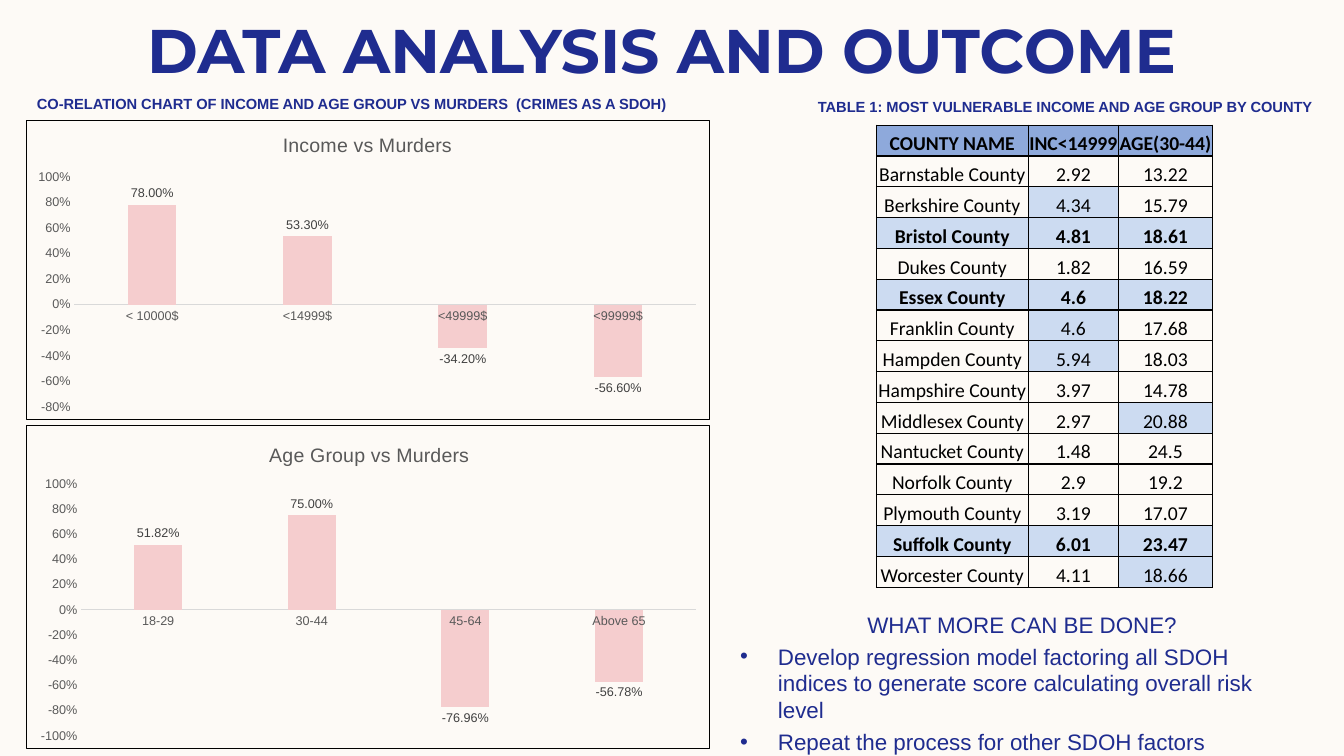
from lxml import etree
from pptx import Presentation
from pptx.chart import data as chart_data
from pptx.dml import color
from pptx.enum import chart as chart_enum, text as text_enum
from pptx.oxml import parse_xml
from pptx.oxml import ns
from pptx.util import Pt

THEME = {
    "background": "FDFAF6", "navy": "1F2C8F", "black": "000000",
    "grey": "595959", "label": "404040", "axis": "D9D9D9", "bar": "F5CDCE",
    "header": "8EA9DB", "highlight": "CCDBF1",
    "title_size": 44, "caption_size": 10.5, "body_size": 16,
    "table_size": 14, "chart_title_size": 14, "chart_size": 9,
    "heading_font": "Montserrat", "body_font": "Arial", "table_font": "Calibri",
}


def write_text(paragraph, text, size, colour=THEME["navy"], font=THEME["body_font"],
               bold=False, align=text_enum.PP_ALIGN.CENTER):
    paragraph.alignment = align
    run = paragraph.add_run()
    run.text = text
    run.font.size = Pt(size)
    run.font.name = font
    run.font.bold = bold
    run.font.color.rgb = color.RGBColor.from_string(colour)


def set_layout(element, index, **values):
    for old_layout in element.findall(ns.qn("c:layout")):
        element.remove(old_layout)
    layout = etree.Element(ns.qn("c:layout"))
    manual = etree.SubElement(layout, ns.qn("c:manualLayout"))
    for name, value in values.items():
        etree.SubElement(manual, ns.qn(f"c:{name}")).set("val", str(value))
    element.insert(index, layout)


presentation = Presentation()
presentation.slide_width, presentation.slide_height = Pt(960), Pt(540)
slide = presentation.slides.add_slide(presentation.slide_layouts[6])
slide.background.fill.solid()
slide.background.fill.fore_color.rgb = color.RGBColor.from_string(THEME["background"])

headings = [
    ("DATA ANALYSIS AND OUTCOME", (52.8, 5, 840, 60.5),
     {"size": THEME["title_size"], "font": THEME["heading_font"]}),
    ("CO-RELATION CHART OF INCOME AND AGE GROUP VS MURDERS  (CRIMES AS A SDOH)",
     (-8.8, 63.5, 520.5, 21), {"size": THEME["caption_size"]}),
    ("TABLE 1: MOST VULNERABLE INCOME AND AGE GROUP BY COUNTY",
     (573.5, 66, 375, 21), {"size": THEME["caption_size"]}),
]
for heading, place, style in headings:
    frame = slide.shapes.add_textbox(*map(Pt, place)).text_frame
    frame.word_wrap = True
    frame.vertical_anchor = text_enum.MSO_ANCHOR.MIDDLE
    write_text(frame.paragraphs[0], heading, bold=True, **style)

charts = [
    ("Income vs Murders", 85.4, 214.3, -0.8,
     {"< 10000$": 0.78, "<14999$": 0.533, "<49999$": -0.342, "<99999$": -0.566},
     {"x": 0.37, "y": 0.03}, {"x": 0.07, "y": 0.19, "w": 0.91, "h": 0.77}),
    ("Age Group vs Murders", 303.8, 231.6, -1,
     {"18-29": 0.5182, "30-44": 0.75, "45-64": -0.7696, "Above 65": -0.5678},
     {"x": 0.35, "y": 0.04}, {"x": 0.08, "y": 0.18, "w": 0.9, "h": 0.78}),
]
for title, top, height, minimum, values, title_place, plot_place in charts:
    murders = chart_data.CategoryChartData(number_format="0.00%")
    murders.categories = list(values)
    murders.add_series("Series 1", list(values.values()))
    chart = slide.shapes.add_chart(
        chart_enum.XL_CHART_TYPE.COLUMN_CLUSTERED,
        Pt(18.7), Pt(top), Pt(488.5), Pt(height), murders).chart
    chart.has_legend = False
    chart.font.name = THEME["body_font"]
    chart.font.size = Pt(10)
    write_text(chart.chart_title.text_frame.paragraphs[0], title,
               THEME["chart_title_size"], THEME["grey"])
    chart.chart_title.include_in_layout = False

    chart_element = chart._chartSpace.find(ns.qn("c:chart"))
    chart_element.addnext(parse_xml(
        f'<c:spPr {ns.nsdecls("c", "a")}><a:noFill/><a:ln w="9525"><a:solidFill>'
        f'<a:srgbClr val="{THEME["black"]}"/></a:solidFill></a:ln></c:spPr>'))
    set_layout(chart_element.find(ns.qn("c:title")), 1,
               xMode="edge", yMode="edge", **title_place)
    set_layout(chart_element.find(ns.qn("c:plotArea")), 0, layoutTarget="inner",
               xMode="edge", yMode="edge", **plot_place)

    for axis in (chart.category_axis, chart.value_axis):
        axis.has_major_gridlines = False
        axis.major_tick_mark = chart_enum.XL_TICK_MARK.NONE
        axis.minor_tick_mark = chart_enum.XL_TICK_MARK.NONE
        axis.tick_labels.font.name = THEME["body_font"]
        axis.tick_labels.font.size = Pt(THEME["chart_size"])
        axis.tick_labels.font.color.rgb = color.RGBColor.from_string(THEME["grey"])
    chart.category_axis.format.line.width = Pt(0.75)
    chart.category_axis.format.line.color.rgb = color.RGBColor.from_string(THEME["axis"])
    chart.value_axis.format.line.fill.background()
    chart.value_axis.minimum_scale = minimum
    chart.value_axis.maximum_scale = 1
    chart.value_axis.major_unit = 0.2
    chart.value_axis.tick_labels.number_format = "0%"
    chart.value_axis.tick_labels.number_format_is_linked = False

    plot = chart.plots[0]
    plot.gap_width, plot.overlap, plot.vary_by_categories = 219, -27, False
    series = plot.series[0]
    series.invert_if_negative = False
    series.format.fill.solid()
    series.format.fill.fore_color.rgb = color.RGBColor.from_string(THEME["bar"])
    labels = series.data_labels
    labels.show_value = True
    labels.position = chart_enum.XL_LABEL_POSITION.OUTSIDE_END
    labels.number_format, labels.number_format_is_linked = "0.00%", False
    labels.font.name = THEME["body_font"]
    labels.font.size = Pt(THEME["chart_size"])
    labels.font.color.rgb = color.RGBColor.from_string(THEME["label"])

counties = [
    ("COUNTY NAME", "INC<14999", "AGE(30-44)", {0, 1, 2}),
    ("Barnstable County", "2.92", "13.22", set()),
    ("Berkshire County", "4.34", "15.79", {1}),
    ("Bristol County", "4.81", "18.61", {0, 1, 2}),
    ("Dukes County", "1.82", "16.59", set()),
    ("Essex County", "4.6", "18.22", {0, 1, 2}),
    ("Franklin County", "4.6", "17.68", {1}),
    ("Hampden County", "5.94", "18.03", {1}),
    ("Hampshire County", "3.97", "14.78", set()),
    ("Middlesex County", "2.97", "20.88", {2}),
    ("Nantucket County", "1.48", "24.5", set()),
    ("Norfolk County", "2.9", "19.2", set()),
    ("Plymouth County", "3.19", "17.07", set()),
    ("Suffolk County", "6.01", "23.47", {0, 1, 2}),
    ("Worcester County", "4.11", "18.66", {2}),
]
table = slide.shapes.add_table(
    len(counties), 3, Pt(626), Pt(89.5), Pt(240), Pt(330)).table
for column, width in zip(table.columns, (108.5, 64.5, 67)):
    column.width = Pt(width)
for row_index, (*entries, highlighted) in enumerate(counties):
    table.rows[row_index].height = Pt(22)
    for column_index, entry in enumerate(entries):
        cell = table.cell(row_index, column_index)
        cell.margin_left = cell.margin_right = cell.margin_top = Pt(0.7)
        cell.margin_bottom = 0
        cell.vertical_anchor = text_enum.MSO_ANCHOR.BOTTOM
        write_text(cell.text_frame.paragraphs[0], entry, THEME["table_size"],
                   THEME["black"], THEME["table_font"], bold=len(highlighted) == 3)
        properties = cell._tc.get_or_add_tcPr()
        for side in "LRTB":
            properties.append(parse_xml(
                f'<a:ln{side} {ns.nsdecls("a")} w="12700"><a:solidFill>'
                f'<a:srgbClr val="{THEME["black"]}"/></a:solidFill></a:ln{side}>'))
        if column_index in highlighted:
            cell.fill.solid()
            cell.fill.fore_color.rgb = color.RGBColor.from_string(
                THEME["highlight" if row_index else "header"])
        else:
            cell.fill.background()

next_steps = slide.shapes.add_textbox(Pt(521.6), Pt(432.7), Pt(417), Pt(91.5)).text_frame
next_steps.word_wrap = True
write_text(next_steps.paragraphs[0], "WHAT MORE CAN BE DONE?", THEME["body_size"])
for step in (
    "Develop regression model factoring all SDOH indices to generate score "
    "calculating overall risk level",
    "Repeat the process for other SDOH factors",
):
    paragraph = next_steps.add_paragraph()
    write_text(paragraph, step, THEME["body_size"], align=text_enum.PP_ALIGN.LEFT)
    properties = paragraph._p.get_or_add_pPr()
    properties.set("marL", str(Pt(27)))
    properties.set("indent", str(-Pt(27)))
    etree.SubElement(properties, ns.qn("a:buFont")).set("typeface", THEME["body_font"])
    etree.SubElement(properties, ns.qn("a:buChar")).set("char", "•")
for paragraph in next_steps.paragraphs:
    paragraph.space_before = Pt(3.6)
    paragraph.line_spacing = 1.0

presentation.save("out.pptx")
